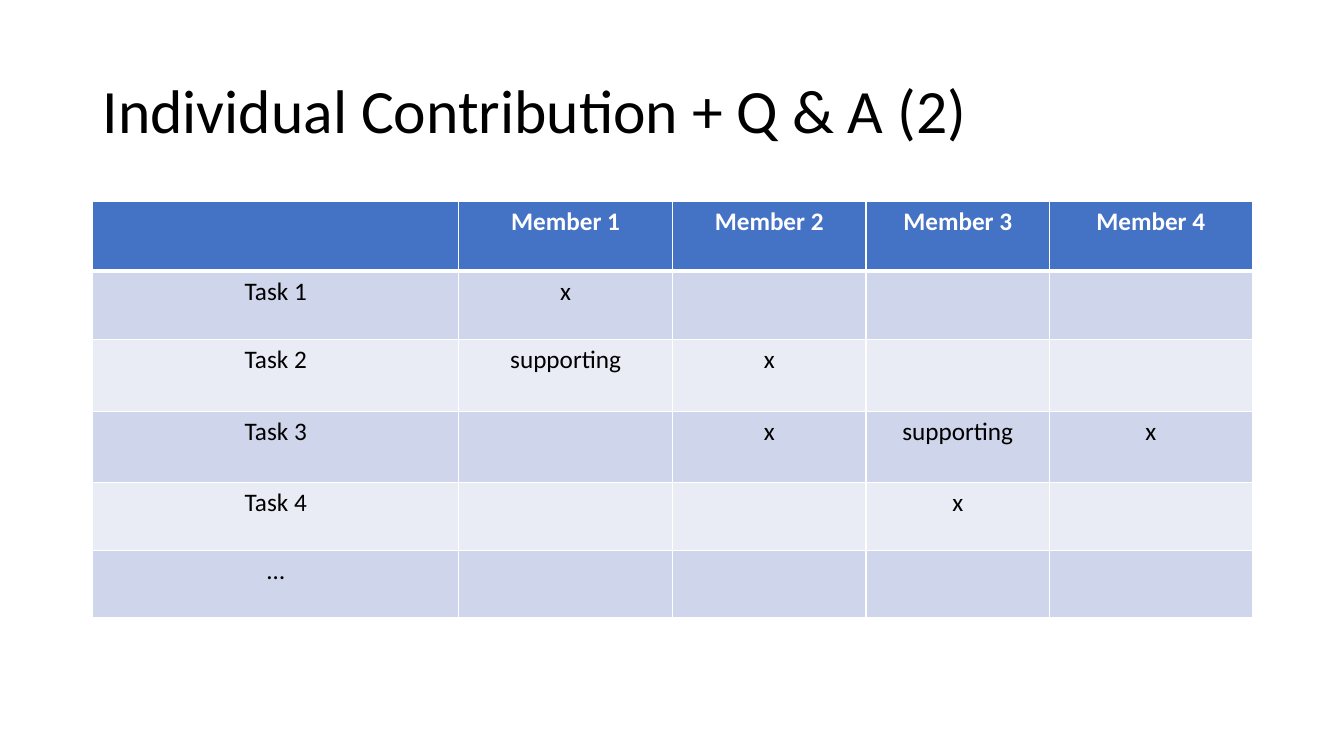
from pptx import Presentation
from pptx.dml.color import RGBColor
from pptx.enum.text import MSO_ANCHOR, PP_ALIGN
from pptx.oxml import parse_xml
from pptx.oxml.ns import nsdecls
from pptx.util import Inches, Pt

THEME = {
    "font": "Calibri",
    "title_size": Pt(44),
    "table_size": Pt(18),
    "text": "000000",
    "header_text": "FFFFFF",
    "header_fill": "4472C4",
    "bands": ["E9EBF5", "CFD5EA"],
    "border": "FFFFFF",
}
ROWS = [
    ["", "Member 1", "Member 2", "Member 3", "Member 4"],
    ["Task 1", "x", "", "", ""],
    ["Task 2", "supporting", "x", "", ""],
    ["Task 3", "", "x", "supporting", "x"],
    ["Task 4", "", "", "x", ""],
    ["…", "", "", "", ""],
]
COLUMN_WIDTHS = [3.63, 2.12, 1.92, 1.82, 2.01]
ROW_HEIGHTS = [0.69, 0.68, 0.71, 0.71, 0.67, 0.67]


def write_text(paragraph, text, size, color, bold=False):
    paragraph.text = text
    formats = {"name": THEME["font"], "size": size, "bold": bold}
    for name, value in formats.items():
        setattr(paragraph.font, name, value)
    paragraph.font.color.rgb = RGBColor.from_string(color)


def add_border(cell, side, width):
    cell._tc.get_or_add_tcPr().append(parse_xml(
        f'<a:ln{side} {nsdecls("a")} w="{Pt(width)}"><a:solidFill>'
        f'<a:srgbClr val="{THEME["border"]}"/></a:solidFill></a:ln{side}>'
    ))


presentation = Presentation()
presentation.slide_width = Inches(13.33)
presentation.slide_height = Inches(7.5)
slide = presentation.slides.add_slide(presentation.slide_layouts[6])

title = slide.shapes.add_textbox(Inches(0.92), Inches(0.4), Inches(11.5), Inches(1.45))
title.text_frame.word_wrap = True
title.text_frame.vertical_anchor = MSO_ANCHOR.MIDDLE
title_paragraph = title.text_frame.paragraphs[0]
title_paragraph.line_spacing = 0.9
write_text(title_paragraph, "Individual Contribution + Q & A (2)", THEME["title_size"], THEME["text"])

table = slide.shapes.add_table(
    len(ROWS), len(COLUMN_WIDTHS), Inches(0.92), Inches(2),
    Inches(sum(COLUMN_WIDTHS)), Inches(sum(ROW_HEIGHTS)),
).table
for column, width in zip(table.columns, COLUMN_WIDTHS):
    column.width = Inches(width)
for row, height in zip(table.rows, ROW_HEIGHTS):
    row.height = Inches(height)

for row_index, texts in enumerate(ROWS):
    is_header = row_index == 0
    fill = THEME["header_fill"] if is_header else THEME["bands"][row_index % 2]
    color = THEME["header_text"] if is_header else THEME["text"]
    borders = {"L": 1, "R": 1, "T": 3 if row_index == 1 else 1, "B": 3 if is_header else 1}
    for column_index, text in enumerate(texts):
        cell = table.cell(row_index, column_index)
        for side, width in borders.items():
            add_border(cell, side, width)
        cell.fill.solid()
        cell.fill.fore_color.rgb = RGBColor.from_string(fill)
        paragraph = cell.text_frame.paragraphs[0]
        paragraph.alignment = PP_ALIGN.CENTER
        write_text(paragraph, text, THEME["table_size"], color, is_header)

presentation.save("out.pptx")
